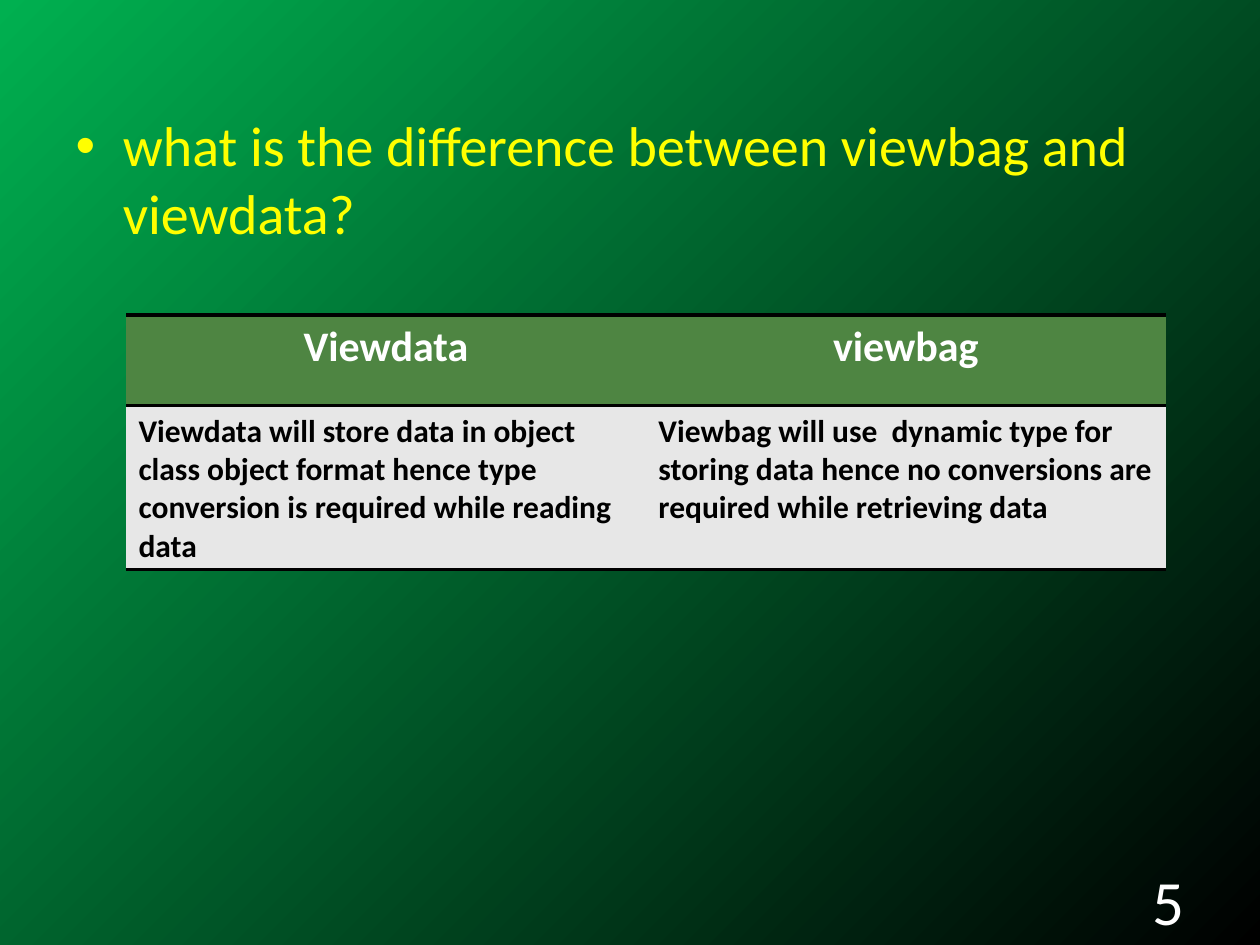
from lxml.etree import SubElement
from pptx import Presentation
from pptx.dml.color import RGBColor
from pptx.enum.text import MSO_ANCHOR, PP_ALIGN
from pptx.oxml.ns import qn
from pptx.util import Cm, Pt

FONT = "Calibri"
COLORS = {
    "start": "00B050",
    "end": "000000",
    "question": "FFFF00",
    "light": "FFFFFF",
    "dark": "000000",
    "header": "4E8542",
    "body": "E7E7E7",
}
NO_STYLE = "{2D5ABB26-0587-4C30-8999-92F81FD0307C}"
COMPARISON = [
    ["Viewdata", "viewbag"],
    [
        "Viewdata will store data in object class object format hence type "
        "conversion is required while reading data",
        "Viewbag will use  dynamic type for storing data hence no conversions "
        "are required while retrieving data",
    ],
]


def rgb(name):
    return RGBColor.from_string(COLORS[name])


def style(paragraph, size, color, bold=False, align=None):
    font = paragraph.font
    font.name, font.size, font.bold = FONT, Pt(size), bold
    font.color.rgb = rgb(color)
    paragraph.alignment = align


def paint_background(slide):
    fill = slide.background.fill
    fill.gradient()
    fill.gradient_angle = 315  # counted counter-clockwise
    for stop, name in zip(fill.gradient_stops, ("start", "end")):
        stop.color.rgb = rgb(name)


def add_question(slide, text):
    question = slide.placeholders[1]
    question.left, question.top = Cm(1.27), Cm(2.11)
    question.width, question.height = Cm(22.86), Cm(14.91)
    question.text_frame.text = text
    style(question.text_frame.paragraphs[0], 32, "question")


def add_border(cell, side, width=2):
    line = SubElement(cell._tc.get_or_add_tcPr(), qn(f"a:ln{side}"), w=str(Pt(width)))
    fill = SubElement(line, qn("a:solidFill"))
    SubElement(fill, qn("a:srgbClr"), val=COLORS["dark"])


def add_comparison(slide, rows):
    heights = [Cm(1.83), Cm(3.3)]
    frame = slide.shapes.add_table(
        len(rows), len(rows[0]), Cm(2.54), Cm(6.35), Cm(20.96), sum(heights))
    table = frame.table
    table._tbl.tblPr.find(qn("a:tableStyleId")).text = NO_STYLE
    table.horz_banding = False
    for r, texts in enumerate(rows):
        table.rows[r].height = heights[r]
        for c, text in enumerate(texts):
            cell = table.cell(r, c)
            cell.text = text
            # Borders come before the fill in the cell properties
            for side in "TB":
                add_border(cell, side)
            cell.fill.solid()
            cell.fill.fore_color.rgb = rgb("body" if r else "header")
            paragraph = cell.text_frame.paragraphs[0]
            if r:
                style(paragraph, 18, "dark", True)
            else:
                style(paragraph, 24, "light", True, PP_ALIGN.CENTER)


def add_page_number(slide, number):
    box = slide.shapes.add_textbox(Cm(18.2), Cm(17.65), Cm(5.93), Cm(1.01))
    box.text_frame.word_wrap = True
    box.text_frame.vertical_anchor = MSO_ANCHOR.MIDDLE
    box.text_frame.text = number
    style(box.text_frame.paragraphs[0], 36, "light", align=PP_ALIGN.RIGHT)


def main():
    deck = Presentation()
    deck.slide_width, deck.slide_height = Cm(25.4), Cm(19.05)
    # Title and content layout, without its unused title
    slide = deck.slides.add_slide(deck.slide_layouts[1])
    title = slide.shapes.title.element
    title.getparent().remove(title)

    paint_background(slide)
    add_question(slide, "what is the difference between viewbag and viewdata?")
    add_page_number(slide, "5")
    add_comparison(slide, COMPARISON)
    deck.save("out.pptx")


if __name__ == "__main__":
    main()
